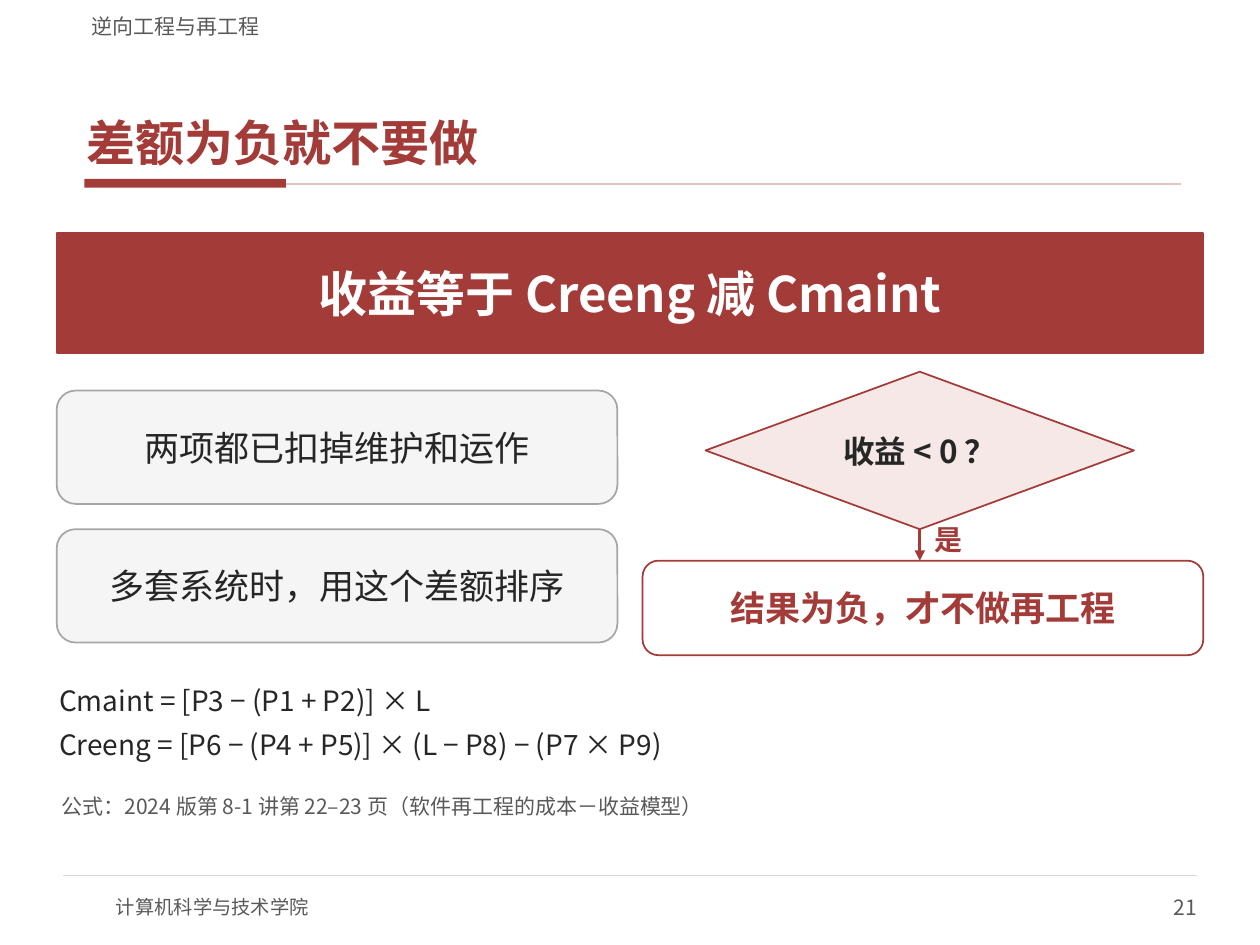
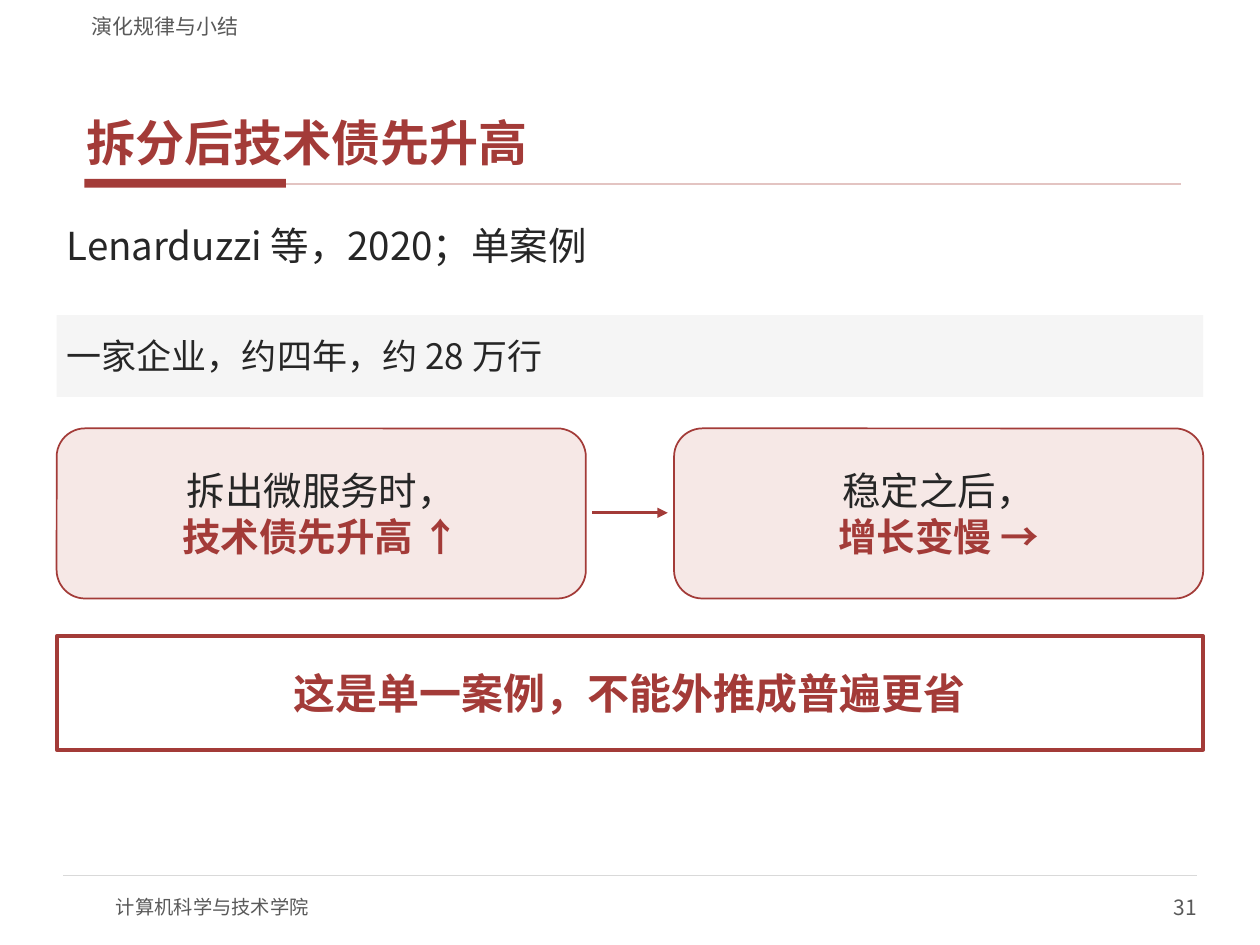
"""Build two lecture slides on re-engineering benefit and technical debt."""
import pptx
import pptx.dml.color
import pptx.enum.shapes
import pptx.enum.text
import pptx.oxml
import pptx.oxml.ns
import pptx.util

RGBColor = pptx.dml.color.RGBColor
RED = RGBColor(0xA3, 0x3B, 0x38)
ROSE = RGBColor(0xE3, 0xC4, 0xC2)
PINK = RGBColor(0xF6, 0xE8, 0xE6)
WHITE = RGBColor(0xFF, 0xFF, 0xFF)
PALE = RGBColor(0xF5, 0xF5, 0xF5)
RULE = RGBColor(0xD9, 0xD9, 0xD9)
EDGE = RGBColor(0xA6, 0xA6, 0xA6)
GREY = RGBColor(0x59, 0x59, 0x59)
INK = RGBColor(0x26, 0x26, 0x26)

FONT = "Noto Sans CJK SC"
PX = 9144
LEFT, WIDTH = 45, 910
TIGHT = (2, 1)

SHAPE = pptx.enum.shapes.MSO_SHAPE
ALIGN = pptx.enum.text.PP_ALIGN
ANCHOR = pptx.enum.text.MSO_ANCHOR


def add_box(slide, at, text="", size=20, color=INK, bold=False, kind=None, fill=None,
            line=None, line_width=1, align=ALIGN.LEFT, anchor=ANCHOR.MIDDLE, insets=(8, 4)):
    place = [value * PX for value in at]
    if kind is None:
        shape = slide.shapes.add_textbox(*place)
    else:
        shape = slide.shapes.add_shape(kind, *place)
        shape.shadow.inherit = False
        shape.fill.solid()
        shape.fill.fore_color.rgb = fill
        if line is None:
            shape.line.fill.background()
        else:
            shape.line.color.rgb = line
            shape.line.width = pptx.util.Pt(line_width)
    frame = shape.text_frame
    frame.word_wrap = True
    frame.vertical_anchor = anchor
    frame.margin_left = frame.margin_right = insets[0] * PX
    frame.margin_top = frame.margin_bottom = insets[1] * PX
    frame.text = text
    for paragraph in frame.paragraphs:
        paragraph.alignment = align
        for run in paragraph.runs:
            run.font.size = pptx.util.Pt(size)
            run.font.bold = bold
            run.font.color.rgb = color
            run.font.name = FONT
            east_asian = pptx.oxml.parse_xml(
                f'<a:ea {pptx.oxml.ns.nsdecls("a")} typeface="{FONT}"/>')
            run.font._element.append(east_asian)
    return shape


def add_line(slide, ends, color, width, arrow=False):
    connector = slide.shapes.add_connector(
        pptx.enum.shapes.MSO_CONNECTOR.STRAIGHT, *[value * PX for value in ends])
    connector.line.color.rgb = color
    connector.line.width = pptx.util.Pt(width)
    namespace = pptx.oxml.ns.nsdecls("a")
    if arrow:
        head = pptx.oxml.parse_xml(f'<a:tailEnd {namespace} type="triangle"/>')
        connector.line._get_or_add_ln().append(head)
    connector._element.spPr.append(pptx.oxml.parse_xml(f"<a:effectLst {namespace}/>"))


presentation = pptx.Presentation()
presentation.slide_width = 1000 * PX
presentation.slide_height = 750 * PX

slides = []
for section, title, number in [
    ("逆向工程与再工程", "差额为负就不要做", "21"),
    ("演化规律与小结", "拆分后技术债先升高", "31"),
]:
    slide = presentation.slides.add_slide(presentation.slide_layouts[6])
    slides.append(slide)
    add_box(slide, (67, 142, 160, 7), kind=SHAPE.RECTANGLE, fill=RED)
    add_line(slide, (227, 146, 937, 146), ROSE, 1)
    add_line(slide, (50, 695, 950, 695), RULE, 0.75)
    add_box(slide, (92, 700, 400, 40), "计算机科学与技术学院", 11, GREY, insets=(0, 0))
    add_box(slide, (750, 700, 200, 40), number, 12, GREY, align=ALIGN.RIGHT, insets=(0, 0))
    heading = add_box(slide, (63, 33, 875, 105), title, 28, RED, True,
                      anchor=ANCHOR.BOTTOM, insets=(6, 2))
    heading.text_frame.paragraphs[0].space_after = pptx.util.Pt(2)
    add_box(slide, (63, 4, 875, 27), section, 12, GREY, anchor=ANCHOR.BOTTOM, insets=(10, 0))

benefit_slide, debt_slide = slides

add_box(benefit_slide, (LEFT, 185, WIDTH, 95), "收益等于 Creeng 减 Cmaint", 28, WHITE, True,
        SHAPE.RECTANGLE, RED, RED, align=ALIGN.CENTER)
for row, note in enumerate(["两项都已扣掉维护和运作", "多套系统时，用这个差额排序"]):
    add_box(benefit_slide, (LEFT, 310 + 110 * row, 445, 90), note,
            kind=SHAPE.ROUNDED_RECTANGLE, fill=PALE, line=EDGE, align=ALIGN.CENTER)
add_box(benefit_slide, (560, 295, 340, 125), "收益 < 0 ？", 18, INK, True,
        SHAPE.DIAMOND, PINK, RED, align=ALIGN.CENTER)
add_line(benefit_slide, (730, 420, 730, 445), RED, 1.75, arrow=True)
add_box(benefit_slide, (740, 412, 60, 32), "是", 16, RED, True, insets=TIGHT)
add_box(benefit_slide, (510, 445, 445, 75), "结果为负，才不做再工程", 20, RED, True,
        SHAPE.ROUNDED_RECTANGLE, WHITE, RED, align=ALIGN.CENTER)
for row, formula in enumerate([
    "Cmaint = [P3 − (P1 + P2)] × L",
    "Creeng = [P6 − (P4 + P5)] × (L − P8) − (P7 × P9)",
]):
    add_box(benefit_slide, (LEFT, 540 + 35 * row, WIDTH, 32), formula, 16, insets=TIGHT)
add_box(benefit_slide, (LEFT, 630, WIDTH, 22),
        "公式：2024 版第 8-1 讲第 22–23 页（软件再工程的成本－收益模型）", 12, GREY,
        anchor=ANCHOR.BOTTOM, insets=(4, 2))

add_box(debt_slide, (LEFT, 172, WIDTH, 60), "Lenarduzzi 等，2020；单案例", 22,
        anchor=ANCHOR.TOP)
add_box(debt_slide, (LEFT, 250, WIDTH, 65), "一家企业，约四年，约 28 万行",
        kind=SHAPE.RECTANGLE, fill=PALE)
for column, phase in enumerate(["拆出微服务时，\n技术债先升高 ↑", "稳定之后，\n增长变慢 →"]):
    card = add_box(debt_slide, (LEFT + 490 * column, 340, 420, 135), phase, 22,
                   kind=SHAPE.ROUNDED_RECTANGLE, fill=PINK, line=RED, align=ALIGN.CENTER)
    outcome = card.text_frame.paragraphs[1].runs[0]
    outcome.font.bold = True
    outcome.font.color.rgb = RED
add_line(debt_slide, (470, 407, 530, 407), RED, 1.75, arrow=True)
add_box(debt_slide, (LEFT, 505, WIDTH, 90), "这是单一案例，不能外推成普遍更省", 24, RED, True,
        SHAPE.RECTANGLE, WHITE, RED, 2.25, align=ALIGN.CENTER)

presentation.save("out.pptx")
